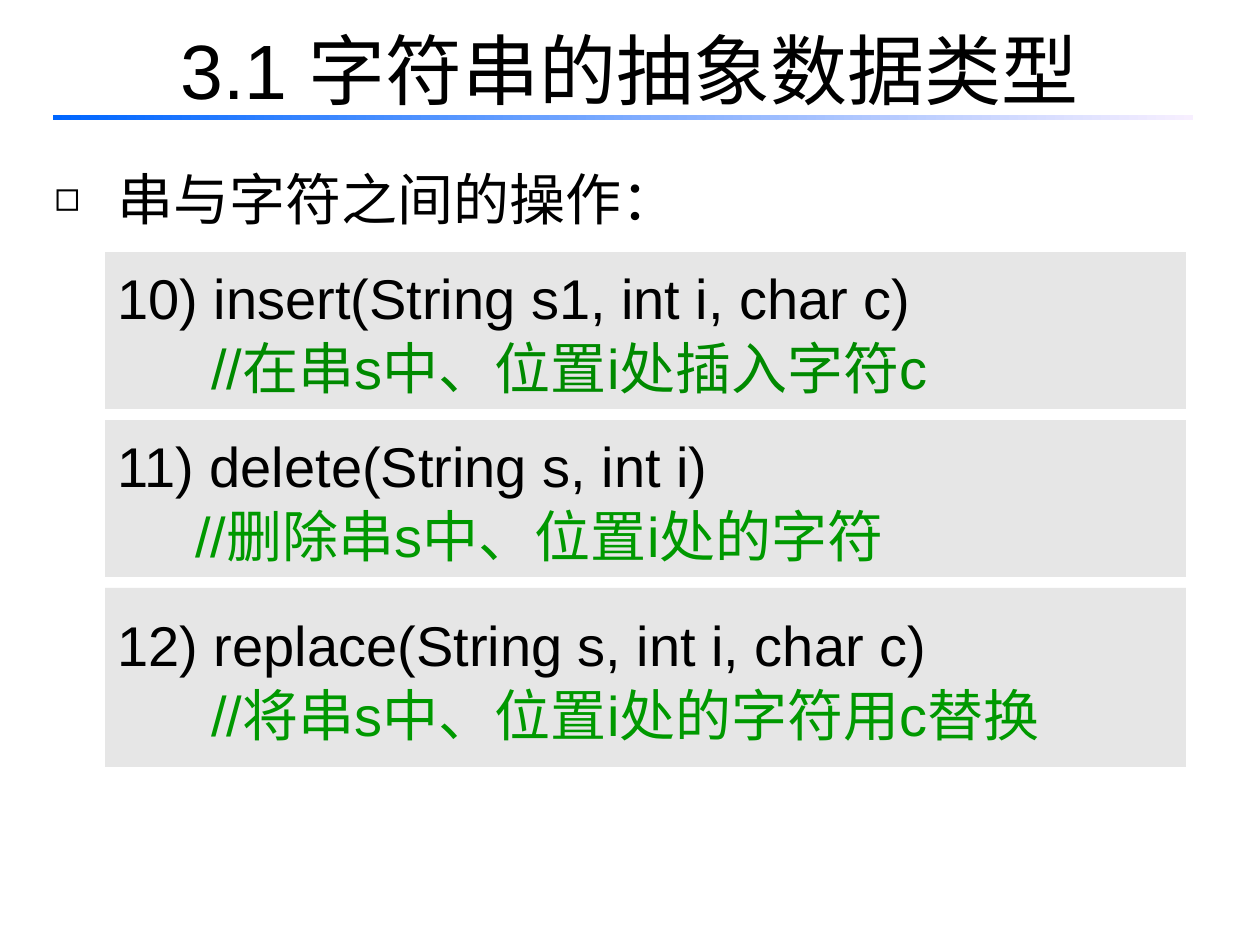
"""Build the slide on operations between strings and characters."""
from dataclasses import dataclass
from lxml import etree
from pptx import Presentation
from pptx.dml.color import RGBColor
from pptx.enum.shapes import MSO_SHAPE
from pptx.enum.text import MSO_ANCHOR, PP_ALIGN
from pptx.oxml.ns import qn
from pptx.util import Pt

RECT = MSO_SHAPE.RECTANGLE
MIDDLE = MSO_ANCHOR.MIDDLE
CENTER, LEFT, JUSTIFY = PP_ALIGN.CENTER, PP_ALIGN.LEFT, PP_ALIGN.JUSTIFY
SCALE = 914400 // 126


@dataclass(frozen=True)
class Theme:
    font: str = "Arial"
    title: int = 44
    body: int = 32
    ink: str = "000000"
    panel: str = "E6E6E6"
    dark: str = "008A00"
    green: str = "009900"
    start: str = "0066FF"
    end: str = "F7EFFF"


theme = Theme()


def px(*sizes):
    return [size * SCALE for size in sizes]


def write(para, text, size, color, align):
    para.text = text
    para.alignment = align
    para.font.name = theme.font
    para.font.size = Pt(size)
    para.font.color.rgb = RGBColor.from_string(color)


deck = Presentation()
deck.slide_width, deck.slide_height = px(1260, 945)
slide = deck.slides.add_slide(deck.slide_layouts[6])
shapes = slide.shapes

title = shapes.add_textbox(*px(63, -10, 1134, 158)).text_frame
title.word_wrap = True
title.vertical_anchor = MIDDLE
write(title.paragraphs[0], "3.1 字符串的抽象数据类型", theme.title, theme.ink, CENTER)

rule = shapes.add_shape(RECT, *px(53, 115, 1140, 5))
rule.shadow.inherit = False
rule.line.fill.background()
rule.fill.gradient()
rule.fill.gradient_angle = 0
for stop, color in zip(rule.fill.gradient_stops, (theme.start, theme.end)):
    stop.color.rgb = RGBColor.from_string(color)

topic = shapes.add_textbox(*px(42, 158, 1218, 94)).text_frame
topic.word_wrap = True
head = topic.paragraphs[0]
write(head, "串与字符之间的操作：", theme.body, theme.ink, LEFT)
head.space_before = Pt(6.4)
props = head._p.get_or_add_pPr()
hang = 63 * SCALE
props.set("marL", str(hang))
props.set("indent", str(-hang))
bullet = {"buSzPct": ("val", "75000"), "buFont": ("typeface", theme.font), "buChar": ("char", "◻")}
place = [child.tag for child in props].index(qn("a:spcBef")) + 1
for step, (tag, (key, value)) in enumerate(bullet.items()):
    node = etree.Element(qn("a:" + tag))
    node.set(key, value)
    props.insert(place + step, node)

panels = [
    ("10) insert(String s1, int i, char c)", "//在串s中、位置i处插入字符c", theme.dark, 94, 157),
    ("11) delete(String s, int i)", "//删除串s中、位置i处的字符", theme.green, 78, 157),
    ("12) replace(String s, int i, char c)", "//将串s中、位置i处的字符用c替换", theme.green, 94, 179),
]
for row, (code, note, color, inset, height) in enumerate(panels):
    panel = shapes.add_shape(RECT, *px(105, 252 + 168 * row, 1081, height))
    panel.shadow.inherit = False
    panel.line.fill.background()
    panel.fill.solid()
    panel.fill.fore_color.rgb = RGBColor.from_string(theme.panel)
    frame = panel.text_frame
    frame.word_wrap = True
    frame.vertical_anchor = MIDDLE
    lines = frame.paragraphs[0], frame.add_paragraph()
    for line, text, tint in zip(lines, (code, note), (theme.ink, color)):
        write(line, text, theme.body, tint, JUSTIFY)
        line.line_spacing = 1.05
    lines[1]._p.get_or_add_pPr().set("marL", str(inset * SCALE))

deck.save("out.pptx")
